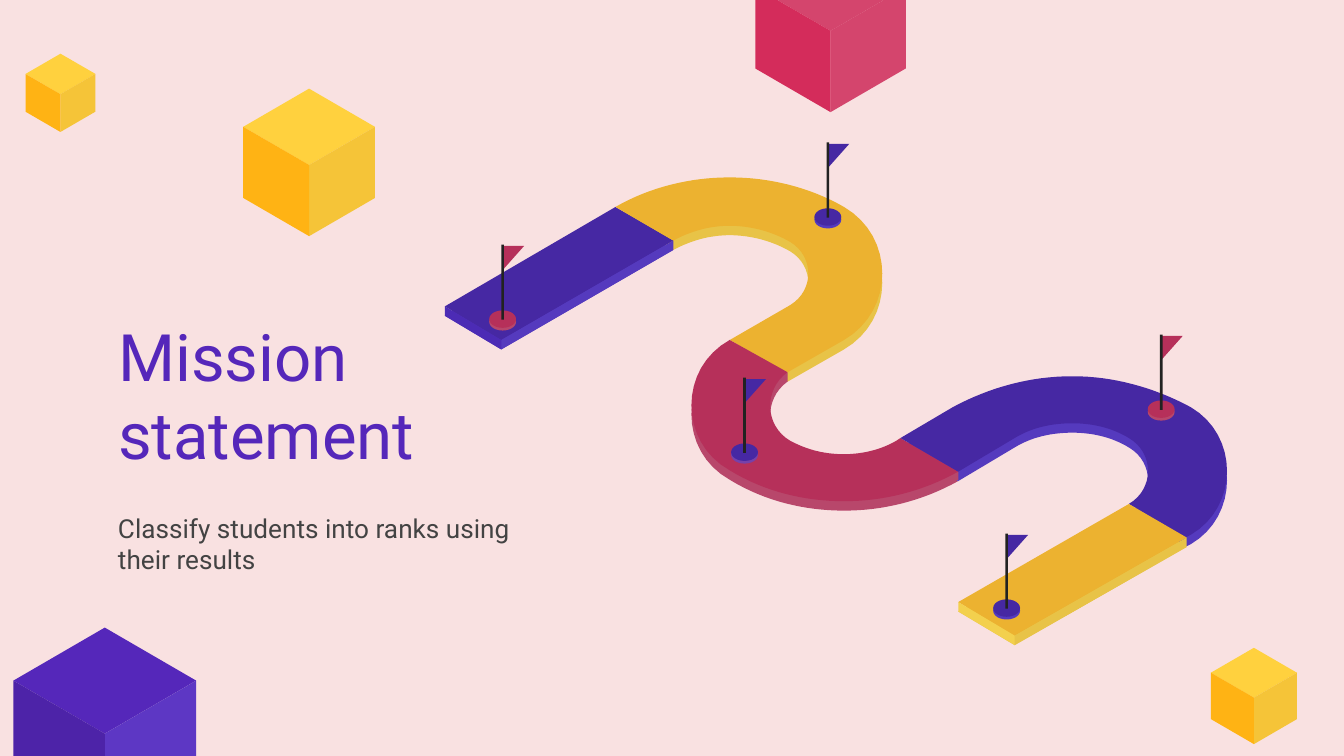
from pptx import Presentation
from pptx.dml.color import RGBColor
from pptx.enum.shapes import MSO_SHAPE
from pptx.enum.text import MSO_ANCHOR, PP_ALIGN
from pptx.util import Inches, Pt

OVAL, RECT = MSO_SHAPE.OVAL, MSO_SHAPE.RECTANGLE
TOP, MIDDLE, LEFT = MSO_ANCHOR.TOP, MSO_ANCHOR.MIDDLE, PP_ALIGN.LEFT

THEME = {
    "font": "Roboto", "title": 35, "body": 14,
    "back": "F9E1E1", "head": "5527BA", "text": "434343", "pole": "222221",
    "gold": ("FFD13E", "F5C438", "FFB314"),
    "violet": ("5527BA", "5D37C4", "4D23A8"),
    "rose": ("D4456D", "D4456D", "D42C5B"),
    "blue": "4628A3", "blue side": "553ABE", "blue end": "4C2BB5",
    "yellow": "ECB230", "yellow side": "E8C347", "yellow end": "F3D04D",
    "red": "B6305A", "red side": "B8476B", "plum side": "7641AA",
}
TITLE = "Mission statement"
BODY = "Classify students into ranks using their results"

CUBES = [
    (0.45, 0.4, 0.26, "gold"), (9.33, 4.82, 0.32, "gold"),
    (0.78, 4.67, 0.68, "violet"), (6.18, -0.42, 0.56, "rose"),
    (2.3, 0.66, 0.49, "gold"),
]
START = [(4.58, 1.54), (3.31, 2.28), (3.73, 2.53), (5.01, 1.79)]
BEND = [
    (5.43, 1.32), (5.14, 1.32, 4.84, 1.39, 4.58, 1.54), (5.01, 1.79),
    (5.14, 1.72, 5.28, 1.68, 5.43, 1.68), (5.58, 1.68, 5.74, 1.72, 5.88, 1.8),
    (6.06, 1.91, 6.06, 2.16, 5.88, 2.27), (5.43, 2.53), (5.86, 2.77),
    (6.28, 2.53), (6.66, 2.31, 6.66, 1.76, 6.28, 1.54),
    (6.02, 1.39, 5.72, 1.32, 5.43, 1.32),
]
DIP = [
    (5.43, 2.53), (5.05, 2.74, 5.05, 3.29, 5.43, 3.5),
    (5.69, 3.66, 5.99, 3.73, 6.28, 3.73), (6.57, 3.73, 6.86, 3.66, 7.13, 3.51),
    (6.7, 3.26), (6.67, 3.28), (6.55, 3.35, 6.41, 3.38, 6.28, 3.38),
    (6.14, 3.38, 6.01, 3.35, 5.88, 3.28), (5.69, 3.17, 5.68, 2.9, 5.86, 2.77),
]
CREST = [
    (7.98, 2.8), (7.67, 2.8, 7.37, 2.88, 7.09, 3.03), (6.7, 3.26), (7.13, 3.51),
    (7.55, 3.26), (7.68, 3.18, 7.83, 3.15, 7.98, 3.15),
    (8.12, 3.15, 8.27, 3.18, 8.4, 3.26), (8.59, 3.37, 8.59, 3.64, 8.4, 3.75),
    (8.82, 4), (8.86, 3.98), (9.22, 3.77, 9.22, 3.24, 8.86, 3.03),
    (8.58, 2.88, 8.28, 2.8, 7.98, 2.8),
]
FINISH = [(8.4, 3.75), (7.13, 4.48), (7.55, 4.73), (8.83, 4)]
TRACK = [
    (START, "blue"), (BEND, "yellow"), (DIP, "red"), (CREST, "blue"),
    (FINISH, "yellow"),
]
JOINTS = [
    [(5.86, 2.77), (5.75, 2.81), (5.82, 2.85), (5.86, 2.84)],
    [(6.98, 3.51), (6.99, 3.59), (7.13, 3.57), (7.13, 3.51)],
]
EDGES = [
    ((3.73, 2.53), (5.01, 1.79), "blue side"),
    ((3.31, 2.28), (3.73, 2.53), "blue end"),
    ((7.55, 4.73), (8.83, 4), "yellow side"),
    ((7.13, 4.48), (7.55, 4.73), "yellow end"),
]
FLAGS = [
    (3.74, 1.82, "red", "red side"), (5.54, 2.81, "blue", "plum side"),
    (7.49, 3.97, "blue", "blue side"), (6.16, 1.06, "blue", "blue side"),
    (8.64, 2.49, "red", "red side"),
]
DEPTH, STEPS = 0.07, 16


def paint(shape, color):
    shape.shadow.inherit = False
    shape.fill.solid()
    shape.fill.fore_color.rgb = RGBColor.from_string(color)
    shape.line.fill.background()
    return shape


def trace(nodes):
    points = [nodes[0]]
    for node in nodes[1:]:
        if len(node) == 2:
            points.append(node)
            continue
        knots = [points[-1], node[:2], node[2:4], node[4:]]
        for step in range(1, STEPS + 1):
            t = step / STEPS
            mix = ((1 - t) ** 3, 3 * t * (1 - t) ** 2, 3 * t * t * (1 - t), t ** 3)
            points.append(tuple(
                sum(m * k[axis] for m, k in zip(mix, knots)) for axis in (0, 1)))
    return points


def outline(shapes, nodes, color, drop=0.0):
    points = [(Inches(x), Inches(y + drop)) for x, y in trace(nodes)]
    pen = shapes.build_freeform(*points[0])
    pen.add_line_segments(points[1:], close=True)
    return paint(pen.convert_to_shape(), color)


def preset(shapes, kind, box, color):
    return paint(shapes.add_shape(kind, *map(Inches, box)), color)


def write(shape, text, box, size, color, anchor=TOP):
    shape.left, shape.top, shape.width, shape.height = map(Inches, box)
    frame = shape.text_frame
    frame.word_wrap, frame.vertical_anchor = True, anchor
    frame.margin_left = frame.margin_right = Inches(0.1)
    frame.margin_top = frame.margin_bottom = Inches(0.1)
    para = frame.paragraphs[0]
    para.text, para.alignment = text, LEFT
    font = para.runs[0].font
    font.name, font.size = THEME["font"], Pt(size)
    font.color.rgb = RGBColor.from_string(color)


def cube(shapes, x, y, half, tone):
    rise, side = 0.58 * half, 1.08 * half
    west, east = (x - half, y + rise), (x + half, y + rise)
    near, foot = (x, y + 2 * rise), (x, y + 2 * rise + side)
    faces = [
        [(x, y), west, near, east],
        [east, near, foot, (east[0], east[1] + side)],
        [west, (west[0], west[1] + side), foot, near],
    ]
    shapes.add_group_shape(
        [outline(shapes, face, color) for face, color in zip(faces, THEME[tone])])


def flag(shapes, x, y, tone, rim):
    cloth = [(x, y + 0.01), (x, y + 0.19), (x + 0.16, y + 0.01)]
    return [
        outline(shapes, cloth, THEME[tone]),
        preset(shapes, OVAL, (x - 0.1, y + 0.51, 0.2, 0.13), THEME[rim]),
        preset(shapes, OVAL, (x - 0.1, y + 0.49, 0.2, 0.13), THEME[tone]),
        preset(shapes, RECT, (x - 0.01, y, 0.02, 0.56), THEME["pole"]),
    ]


def road(shapes):
    parts = [outline(shapes, shape, THEME[tone + " side"], DEPTH)
             for shape, tone in TRACK]
    parts += [outline(shapes, joint, THEME["red side"]) for joint in JOINTS]
    parts += [outline(shapes, shape, THEME[tone]) for shape, tone in TRACK]
    for (ax, ay), (bx, by), tone in EDGES:
        wall = [(ax, ay), (bx, by), (bx, by + DEPTH), (ax, ay + DEPTH)]
        parts.append(outline(shapes, wall, THEME[tone]))
    for item in FLAGS:
        parts += flag(shapes, *item)
    shapes.add_group_shape(parts)


def main():
    """Build the mission statement slide with its winding road."""
    deck = Presentation()
    deck.slide_width, deck.slide_height = Inches(10), Inches(10 * 9 / 16)
    slide = deck.slides.add_slide(deck.slide_layouts[5])
    slide.background.fill.solid()
    slide.background.fill.fore_color.rgb = RGBColor.from_string(THEME["back"])
    shapes = slide.shapes
    for item in CUBES:
        cube(shapes, *item)
    road(shapes)
    write(shapes.title, TITLE, (0.78, 2.25, 3.54, 1.36),
          THEME["title"], THEME["head"])
    box = (0.78, 3.57, 3.54, 0.95)
    write(shapes.add_textbox(*map(Inches, box)), BODY, box,
          THEME["body"], THEME["text"], anchor=MIDDLE)
    deck.save("out.pptx")


if __name__ == "__main__":
    main()
